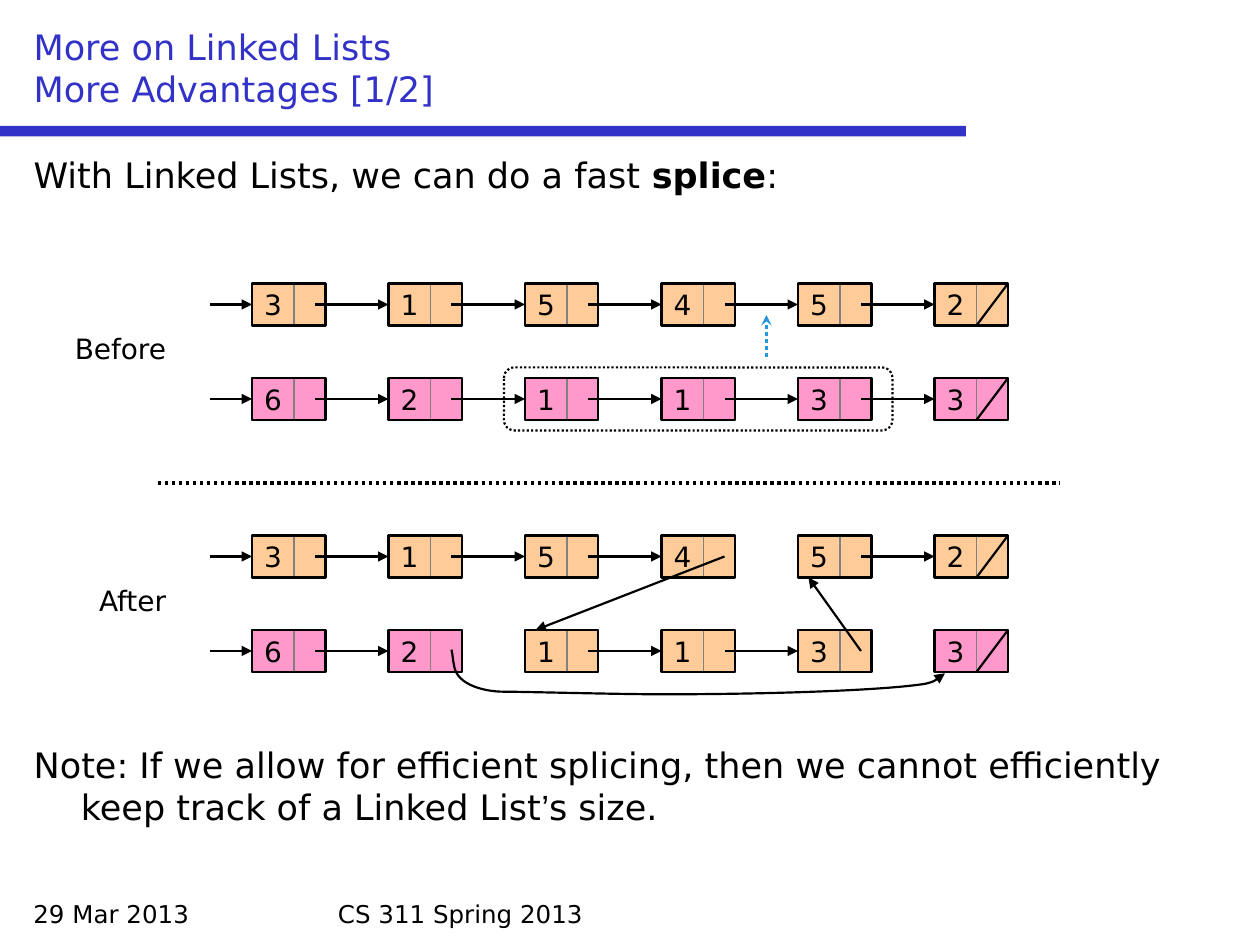
from dataclasses import dataclass

from lxml.etree import SubElement
from pptx import Presentation
from pptx.dml.color import RGBColor
from pptx.enum.dml import MSO_LINE
from pptx.enum.shapes import MSO_CONNECTOR, MSO_SHAPE
from pptx.enum.text import MSO_ANCHOR, MSO_AUTO_SIZE, PP_ALIGN
from pptx.oxml.ns import qn
from pptx.util import Pt

PX = 9525  # EMU; 96 px to the inch


@dataclass(frozen=True)
class Theme:
    font: str = "DejaVu Sans"
    quote_font: str = "Arial"
    ink: str = "000000"
    blue: str = "3232C8"
    sky: str = "2896DC"
    grey: str = "808080"
    orange: str = "FFCC99"
    pink: str = "FF99CC"
    main: int = 20
    label: int = 16
    footer: int = 14
    thin: float = 0.75
    line: float = 1.25
    thick: float = 2


T = Theme()


def add_run(p, text, size, color=T.ink, **font):
    r = p.add_run()
    r.text = text
    for name, value in {"name": T.font, "size": Pt(size), **font}.items():
        setattr(r.font, name, value)
    r.font.color.rgb = RGBColor.from_string(color)


def set_line(sp, color=T.ink, width=T.line, dash=None, head=None):
    """Format the line of a shape or connector; head is an arrowhead at its end."""
    sp.line.color.rgb = RGBColor.from_string(color)
    sp.line.width = Pt(width)
    if dash:
        sp.line.dash_style = dash
    if head:
        SubElement(sp.line._get_or_add_ln(), qn("a:tailEnd"), type=head)


prs = Presentation()
prs.slide_width, prs.slide_height = 960 * PX, 720 * PX
s = prs.slides.add_slide(prs.slide_layouts[1])
title, body = s.placeholders

# Title and body
for sp, top, height, anchor in [(title, 16, 72, MSO_ANCHOR.BOTTOM),
                                (body, 112, 560, MSO_ANCHOR.TOP)]:
    sp.left, sp.top, sp.width, sp.height = 16 * PX, top * PX, 928 * PX, height * PX
    sp.text_frame.vertical_anchor = anchor
    sp.text_frame.auto_size = MSO_AUTO_SIZE.NONE

p = title.text_frame.paragraphs[0]
p.alignment = PP_ALIGN.LEFT
add_run(p, "More on Linked Lists", T.main, T.blue)
p.add_line_break()
add_run(p, "More Advantages [1/2]", T.main, T.blue)

tf = body.text_frame
note = "Note: If we allow for efficient splicing, then we cannot efficiently keep track of a Linked List"
paragraphs = [
    (0, [("With Linked Lists, we can do a fast ", {}), ("splice", {"bold": True}), (":", {})]),
    (313, [(note, {}), ("’", {"name": T.quote_font}), ("s size.", {})]),
]
for i, (space, runs) in enumerate(paragraphs):
    p = tf.add_paragraph() if i else tf.paragraphs[0]
    pPr = p._p.get_or_add_pPr()
    pPr.set("marL", str(36 * PX))
    pPr.set("indent", str(-36 * PX))
    SubElement(pPr, qn("a:buNone"))
    p.space_before = Pt(space)
    for text, font in runs:
        add_run(p, text, T.main, **font)

# Footer and row labels
for text, left, top, width, height, size, align in [
    ("29 Mar 2013", 16, 680, 224, 32, T.footer, PP_ALIGN.LEFT),
    ("CS 311 Spring 2013", 248, 680, 464, 32, T.footer, PP_ALIGN.LEFT),
    ("Before", 40, 248, 96, 35, T.label, PP_ALIGN.RIGHT),
    ("After", 40, 440, 96, 35, T.label, PP_ALIGN.RIGHT),
]:
    tf = s.shapes.add_textbox(left * PX, top * PX, width * PX, height * PX).text_frame
    tf.word_wrap = True
    tf.paragraphs[0].alignment = align
    add_run(tf.paragraphs[0], text, size)

# Lists: a node is a data cell, a pointer cell and an outline around both
FIRST, STEP, DATA, POINTER, HEIGHT = 192, 104, 32, 24, 32
MID, TAIL = HEIGHT // 2, DATA + POINTER // 2 + 4
ARROW = {"head": "triangle"}
rows = [  # top, values, fills, nodes linked to the next one
    (216, "315425", [T.orange] * 6, range(5)),
    (288, "621133", [T.pink] * 6, range(5)),
    (408, "315452", [T.orange] * 6, (0, 1, 2, 4)),
    (480, "621133", [T.pink] * 2 + [T.orange] * 3 + [T.pink], (0, 2, 3)),
]
rows[0] = (216, "315452", *rows[0][2:])

boxes = [(MSO_SHAPE.RECTANGLE, 0, 96, 736, 8, T.blue, None, "")]
lines = []
for top, values, fills, linked in rows:
    for i, (value, fill) in enumerate(zip(values, fills)):
        x = FIRST + i * STEP
        for left, width, color, line, text in [
            (x, DATA, fill, {"color": T.grey, "width": T.thin}, value),
            (x + DATA, POINTER, fill, {"color": T.grey, "width": T.thin}, ""),
            (x, DATA + POINTER, None, {}, ""),
        ]:
            boxes.append((MSO_SHAPE.RECTANGLE, left, top, width, HEIGHT, color, line, text))
        if i in linked:
            lines.append((x + TAIL, top + MID, x + STEP, top + MID, ARROW))
    lines.append((x + DATA, top + HEIGHT, x + DATA + POINTER, top, {}))
    lines.append((FIRST - 32, top + MID, FIRST, top + MID, ARROW))

# Splice: selected nodes, their new place, the relinked pointers, the divider
boxes.append((MSO_SHAPE.ROUNDED_RECTANGLE, 384, 280, 296, 48, None,
              {"dash": MSO_LINE.ROUND_DOT}, ""))
lines += [
    (552, 424, 408, 480, ARROW),
    (656, 496, 616, 440, ARROW),
    (120, 368, 808, 368, {"width": T.thick, "dash": MSO_LINE.ROUND_DOT}),
    (584, 272, 584, 240, {"color": T.sky, "width": T.thick,
                          "dash": MSO_LINE.ROUND_DOT, "head": "stealth"}),
]

for kind, left, top, width, height, fill, line, text in boxes:
    sp = s.shapes.add_shape(kind, left * PX, top * PX, width * PX, height * PX)
    sp.shadow.inherit = False
    if fill:
        sp.fill.solid()
        sp.fill.fore_color.rgb = RGBColor.from_string(fill)
    else:
        sp.fill.background()
    if line is None:
        sp.line.fill.background()
    else:
        set_line(sp, **line)
    if text:
        tf = sp.text_frame
        tf.word_wrap = False
        tf.vertical_anchor = MSO_ANCHOR.MIDDLE
        tf.paragraphs[0].alignment = PP_ALIGN.CENTER
        add_run(tf.paragraphs[0], text, T.label)

for x1, y1, x2, y2, line in lines:
    sp = s.shapes.add_connector(MSO_CONNECTOR.STRAIGHT, x1 * PX, y1 * PX, x2 * PX, y2 * PX)
    set_line(sp, **line)
    SubElement(sp._element.spPr, qn("a:effectLst"))

# Curved link past the spliced nodes: every three points make one Bézier segment
curve = [(345, 499), (345, 503), (346, 507), (348, 523), (372, 527), (383, 527),
         (398, 527), (471, 529), (505, 529), (588, 529), (674, 526), (705, 521),
         (713, 519), (716, 516), (720, 513)]
builder = s.shapes.build_freeform(344, 495, scale=PX)
builder.add_line_segments(curve, close=False)
sp = builder.convert_to_shape()
sp.shadow.inherit = False
sp.fill.background()
set_line(sp, **ARROW)
outline = next(sp._element.iter(qn("a:path")))
segments = outline.findall(qn("a:lnTo"))
for i in range(0, len(segments), 3):
    bezier = SubElement(outline, qn("a:cubicBezTo"))
    for segment in segments[i:i + 3]:
        bezier.append(segment[0])
        outline.remove(segment)

prs.save("out.pptx")
